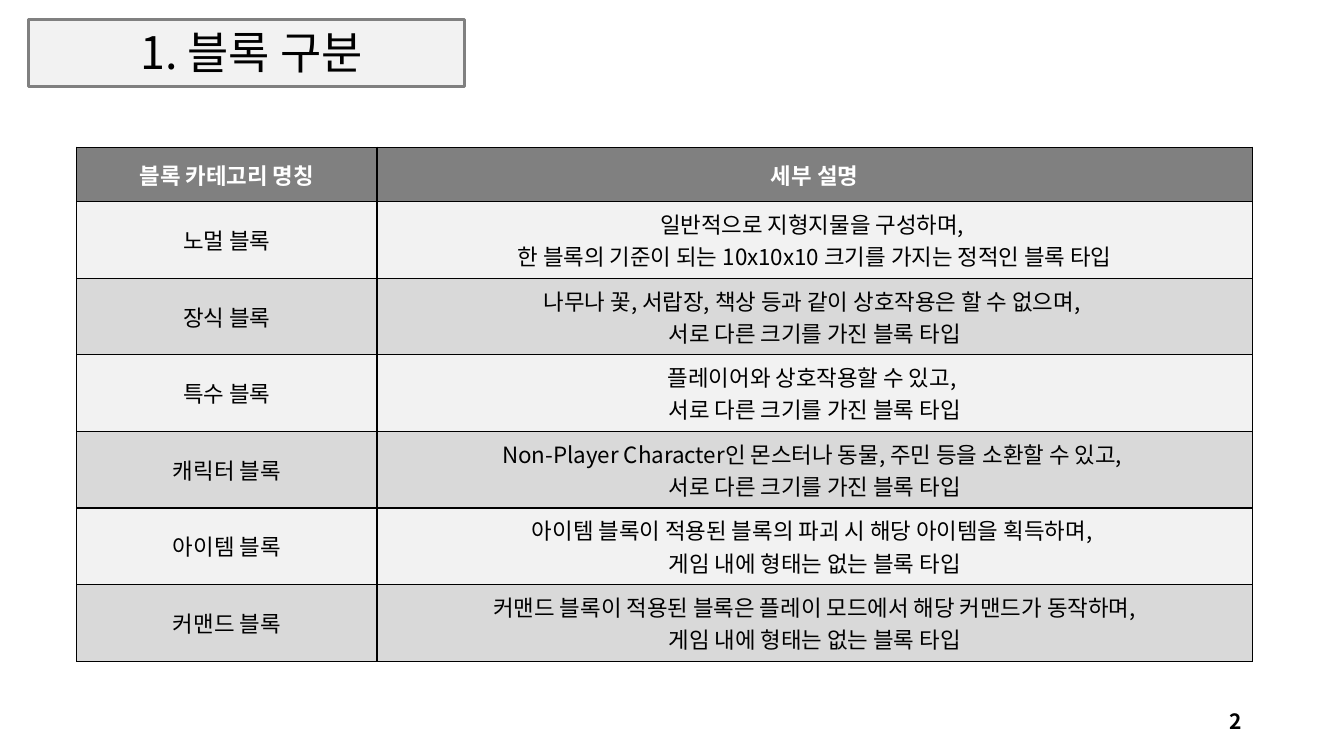
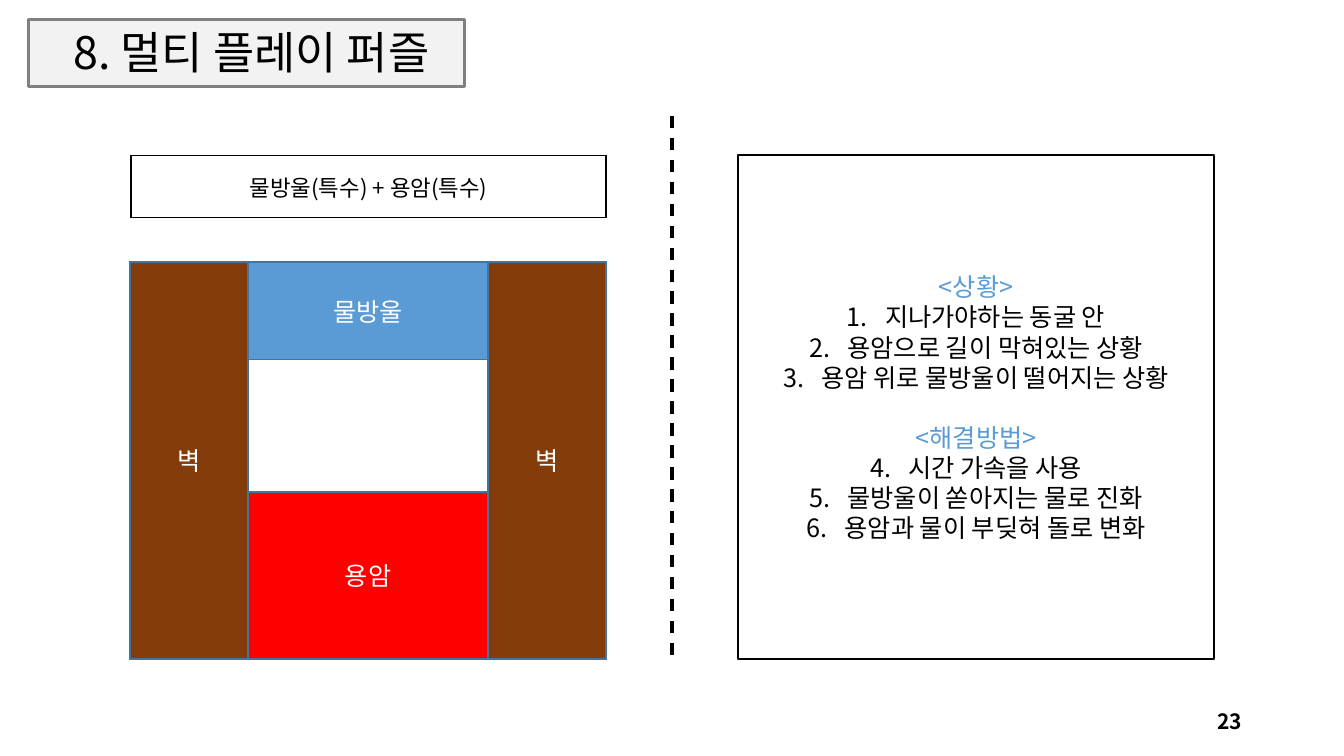
from lxml import etree
from pptx import Presentation
from pptx.dml.color import RGBColor
from pptx.enum.dml import MSO_LINE
from pptx.enum.shapes import MSO_CONNECTOR, MSO_SHAPE
from pptx.enum.text import MSO_ANCHOR, PP_ALIGN
from pptx.oxml.ns import qn
from pptx.util import Inches, Pt

RECT, LINE, DASH = MSO_SHAPE.RECTANGLE, MSO_CONNECTOR.STRAIGHT, MSO_LINE.DASH
MID, LOW = MSO_ANCHOR.MIDDLE, MSO_ANCHOR.BOTTOM
MIDDLE, RIGHT = PP_ALIGN.CENTER, PP_ALIGN.RIGHT

# Content
BLOCKS = {
    "title": "1. 블록 구분",
    "page": "2",
    "rows": [
        ("블록 카테고리 명칭", ["세부 설명"]),
        ("노멀 블록", ["일반적으로 지형지물을 구성하며, ",
                   "한 블록의 기준이 되는 10x10x10 크기를 가지는 정적인 블록 타입"]),
        ("장식 블록", ["나무나 꽃, 서랍장, 책상 등과 같이 상호작용은 할 수 없으며, ",
                   "서로 다른 크기를 가진 블록 타입"]),
        ("특수 블록", ["플레이어와 상호작용할 수 있고, ",
                   "서로 다른 크기를 가진 블록 타입"]),
        ("캐릭터 블록", ["Non-Player Character인 몬스터나 동물, 주민 등을 소환할 수 있고, ",
                    "서로 다른 크기를 가진 블록 타입"]),
        ("아이템 블록", ["아이템 블록이 적용된 블록의 파괴 시 해당 아이템을 획득하며, ",
                    "게임 내에 형태는 없는 블록 타입"]),
        ("커맨드 블록", ["커맨드 블록이 적용된 블록은 플레이 모드에서 해당 커맨드가 동작하며,",
                    "게임 내에 형태는 없는 블록 타입"]),
    ],
}
PUZZLE = {
    "title": "8. 멀티 플레이 퍼즐",
    "page": "23",
    "mix": "물방울(특수) + 용암(특수)",
    "wall": "벽", "drop": "물방울", "lava": "용암",
    "steps": [
        ("<상황>", ["지나가야하는 동굴 안", "용암으로 길이 막혀있는 상황",
                  "용암 위로 물방울이 떨어지는 상황"]),
        ("<해결방법>", ["시간 가속을 사용", "물방울이 쏟아지는 물로 진화",
                    "용암과 물이 부딪혀 돌로 변화"]),
    ],
}

# Style
WIDE, HIGH = 13.33, 7.5
FONT = "Noto Sans CJK KR"
HUES = {"ink": "000000", "white": "FFFFFF", "pale": "F2F2F2", "light": "D9D9D9",
        "gray": "808080", "blue": "5B9BD5", "edge": "43739E",
        "lava": "FF0000", "wall": "843C0B"}
STYLES = {
    "title": {"size": Pt(32), "bold": False},
    "page": {"size": Pt(15), "bold": True},
    "head": {"size": Pt(16), "bold": True},
    "cell": {"size": Pt(16), "bold": False},
    "body": {"size": Pt(18), "bold": False},
}
PITCH = Pt(21.5)


def hue(name):
    return RGBColor.from_string(HUES[name])


def box(at):
    return [Inches(v) for v in at]


def write(par, text, style, ink="ink", align=MIDDLE):
    par.alignment = align
    run = par.add_run()
    run.text = text
    for key, val in {**STYLES[style], "name": FONT}.items():
        setattr(run.font, key, val)
    run.font.color.rgb = hue(ink)
    etree.SubElement(run.font._element, qn("a:ea"), typeface=FONT)


def next_par(frame, first):
    return frame.paragraphs[0] if first else frame.add_paragraph()


def add_rect(slide, at, fill=None, line="ink", width=1.5, text=None):
    rect = slide.shapes.add_shape(RECT, *box(at))
    rect.shadow.inherit = False
    if fill:
        rect.fill.solid()
        rect.fill.fore_color.rgb = hue(fill)
    else:
        rect.fill.background()
    rect.line.color.rgb = hue(line)
    rect.line.width = Pt(width)
    frame = rect.text_frame
    frame.word_wrap, frame.vertical_anchor = True, MID
    if text:
        write(frame.paragraphs[0], text, "body", "white")
    return frame


def add_text(slide, at, text, style, align, anchor):
    frame = slide.shapes.add_textbox(*box(at)).text_frame
    frame.word_wrap, frame.vertical_anchor = True, anchor
    write(frame.paragraphs[0], text, style, align=align)
    return frame.paragraphs[0]


def fill_cell(cell, lines, fill, style="cell", ink="ink"):
    props = cell._tc.get_or_add_tcPr()
    for side in "LRTB":
        edge = etree.SubElement(props, qn("a:ln" + side), w=str(Pt(1)))
        solid = etree.SubElement(edge, qn("a:solidFill"))
        etree.SubElement(solid, qn("a:srgbClr"), val=HUES["ink"])
    cell.fill.solid()
    cell.fill.fore_color.rgb = hue(fill)
    cell.vertical_anchor = MID
    for i, line in enumerate(lines):
        write(next_par(cell.text_frame, i == 0), line, style, ink)


def add_grid(slide, left, top, cols, rows):
    grid = slide.shapes.add_table(len(rows), len(cols),
                                  *box((left, top, sum(cols), sum(rows)))).table
    grid.first_row = grid.horz_banding = False
    for col, size in zip(grid.columns, cols):
        col.width = Inches(size)
    for row, size in zip(grid.rows, rows):
        row.height = Inches(size)
    return grid


def add_page(deck, data):
    """Blank slide with the shared title band and page number."""
    slide = deck.slides.add_slide(deck.slide_layouts[6])
    add_rect(slide, (0.28, 0.19, 4.33, 0.67), "pale", "gray", 2.25)
    par = add_text(slide, (0.42, 0.18, 4.15, 0.65), data["title"], "title", MIDDLE, LOW)
    par.line_spacing = 0.9
    add_text(slide, (9.42, 6.95, 3, 0.4), data["page"], "page", RIGHT, MID)
    return slide


def add_blocks(deck):
    slide = add_page(deck, BLOCKS)
    rows = BLOCKS["rows"]
    grid = add_grid(slide, 0.76, 1.46, [2.98, 8.68], [0.54] + [0.76] * (len(rows) - 1))
    for i, (name, lines) in enumerate(rows):
        look = ("light" if i % 2 == 0 else "pale",) if i else ("gray", "head", "white")
        fill_cell(grid.cell(i, 0), [name], *look)
        fill_cell(grid.cell(i, 1), lines, *look)


def add_steps(frame):
    start = 1
    for name, steps in PUZZLE["steps"]:
        head = next_par(frame, start == 1)
        head.line_spacing = PITCH
        if start > 1:
            head.space_before = PITCH
        write(head, name, "body", "blue")
        for step in steps:
            par = frame.add_paragraph()
            props = par._p.get_or_add_pPr()
            props.set("marL", str(Inches(0.38)))
            props.set("indent", str(-Inches(0.38)))
            etree.SubElement(props, qn("a:buFont"), typeface=FONT)
            etree.SubElement(props, qn("a:buAutoNum"), type="arabicPeriod",
                             startAt=str(start))
            par.line_spacing = PITCH
            write(par, step, "body")
        start += len(steps)


def add_puzzle(deck):
    slide = add_page(deck, PUZZLE)
    top, base, span = 1.54, 6.54, 4.72
    left, right = 1.29, 7.32

    # Divider
    rule = slide.shapes.add_connector(LINE, *box((WIDE / 2, 1.15, WIDE / 2, base)))
    rule.line.color.rgb = hue("ink")
    rule.line.width, rule.line.dash_style = Pt(2.25), DASH
    etree.SubElement(rule._element.spPr, qn("a:effectLst"))

    # Block mix
    grid = add_grid(slide, left + 0.01, top, [4.71], [0.62])
    fill_cell(grid.cell(0, 0), [PUZZLE["mix"]], "white")

    # Cave
    roof, wall, drop, lava = 2.6, 1.17, 0.97, 1.66
    tall, gap = base - roof, span - 2 * wall
    add_rect(slide, (left, roof, span, tall))
    parts = [
        ("lava", "lava", (left + wall, base - lava, gap, lava)),
        ("drop", "blue", (left + wall, roof, gap, drop)),
        ("wall", "wall", (left, roof, wall, tall)),
        ("wall", "wall", (left + span - wall, roof, wall, tall)),
    ]
    for key, fill, at in parts:
        add_rect(slide, at, fill, "edge", 1, PUZZLE[key])

    # Steps
    add_steps(add_rect(slide, (right, top, span, base - top)))


def main():
    deck = Presentation()
    deck.slide_width, deck.slide_height = Inches(WIDE), Inches(HIGH)
    add_blocks(deck)
    add_puzzle(deck)
    deck.save("out.pptx")


if __name__ == "__main__":
    main()
